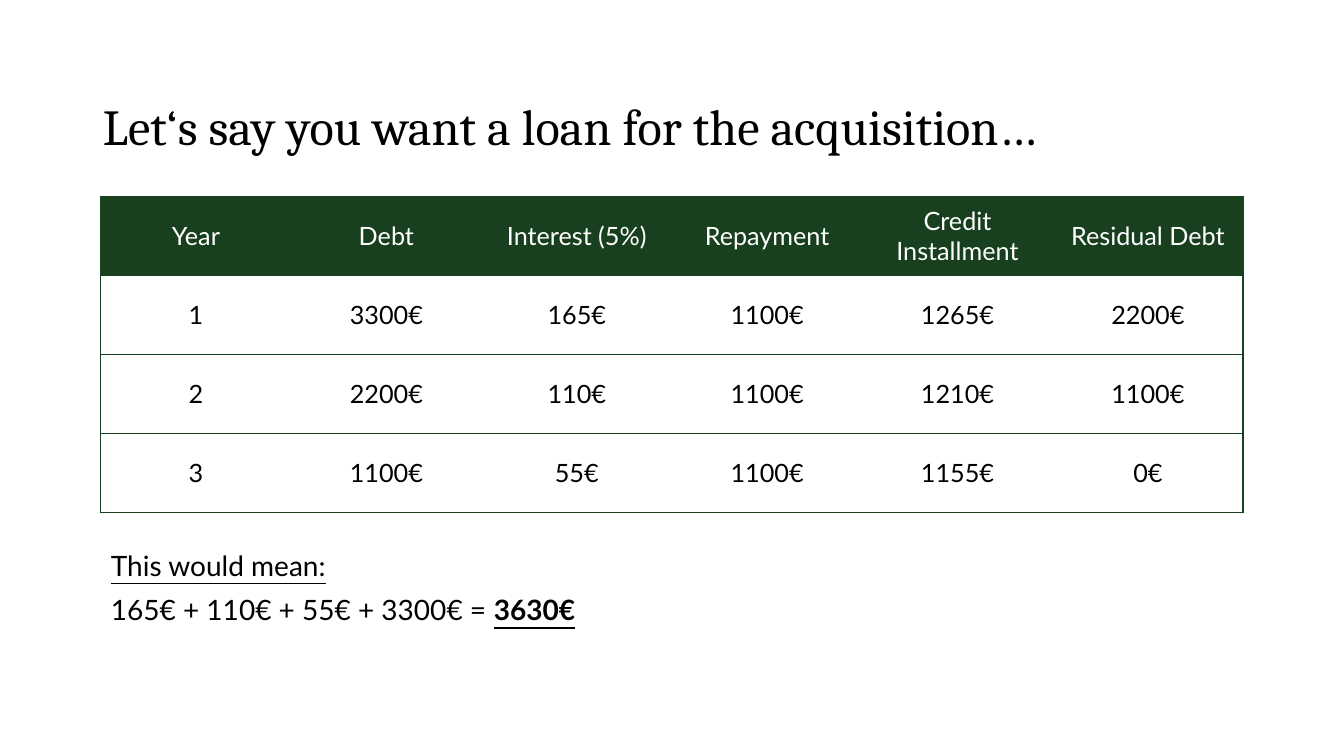
import pptx
import pptx.util
import pptx.dml.color
import pptx.enum.text
import pptx.oxml
import pptx.oxml.ns
import lxml.etree

WIDE, HIGH = pptx.util.Inches(13.33), pptx.util.Inches(7.5)
HUES = {"green": "183F1E", "white": "FFFFFF", "black": "000000"}
ROWS = [
    ["Year", "Debt", "Interest (5%)", "Repayment", "Credit Installment", "Residual Debt"],
    ["1", "3300€", "165€", "1100€", "1265€", "2200€"],
    ["2", "2200€", "110€", "1100€", "1210€", "1100€"],
    ["3", "1100€", "55€", "1100€", "1155€", "0€"],
]
NOTE = [
    [("This would mean:", False, True)],
    [("165€ + 110€ + 55€ + 3300€ = ", False, False), ("3630€", True, True)],
]


def share(left, top, width, height):
    """Turn percentages of the slide into a box."""
    return [round(part * size / 100)
            for part, size in zip((left, top, width, height), (WIDE, HIGH) * 2)]


def color(name):
    """Look up a colour by name."""
    return pptx.dml.color.RGBColor.from_string(HUES[name])


def style(font, face, size, hue):
    """Set face, size and colour of a font."""
    font.name, font.size = face, pptx.util.Pt(size)
    font.color.rgb = color(hue)


def place(shape, box):
    """Move a shape into a box."""
    shape.left, shape.top, shape.width, shape.height = box


def border(cell, sides):
    """Draw the given sides of a cell and clear the rest."""
    props = cell._tc.get_or_add_tcPr()
    for spot, side in enumerate("LRTB"):
        line = pptx.oxml.parse_xml(
            f'<a:ln{side} {pptx.oxml.ns.nsdecls("a")} w="12700"/>')
        if side in sides:
            fill = lxml.etree.SubElement(line, pptx.oxml.ns.qn("a:solidFill"))
            lxml.etree.SubElement(fill, pptx.oxml.ns.qn("a:srgbClr"), val=HUES["green"])
        else:
            lxml.etree.SubElement(line, pptx.oxml.ns.qn("a:noFill"))
        props.insert(spot, line)


def title(slide, box):
    """Fill the title placeholder."""
    head = slide.shapes.title
    place(head, box)
    frame = head.text_frame
    frame.text = "Let‘s say you want a loan for the acquisition…"
    frame.auto_size = pptx.enum.text.MSO_AUTO_SIZE.NONE
    frame.vertical_anchor = pptx.enum.text.MSO_ANCHOR.BOTTOM
    para = frame.paragraphs[0]
    para.alignment = pptx.enum.text.PP_ALIGN.LEFT
    para.line_spacing = 0.9
    style(para.runs[0].font, "Cambria", 36, "black")


def table(slide, box):
    """Draw the loan table with even columns and rows."""
    count = len(ROWS[0])
    grid = slide.shapes.add_table(len(ROWS), count, *box).table
    grid.horz_banding = False
    for down, row in enumerate(ROWS):
        for over, text in enumerate(row):
            cell = grid.cell(down, over)
            cell.text = text
            cell.vertical_anchor = pptx.enum.text.MSO_ANCHOR.MIDDLE
            cell.fill.solid()
            cell.fill.fore_color.rgb = color("white" if down else "green")
            border(cell, "TB" + "L" * (over == 0) + "R" * (over == count - 1))
            para = cell.text_frame.paragraphs[0]
            para.alignment = pptx.enum.text.PP_ALIGN.CENTER
            font = para.runs[0].font
            style(font, "Lato", 18, "black" if down else "white")
            font.bold = False


def note(slide, box):
    """Fill the body placeholder with the total cost."""
    body = slide.placeholders[1]
    place(body, box)
    frame = body.text_frame
    frame.auto_size = pptx.enum.text.MSO_AUTO_SIZE.NONE
    for spot, parts in enumerate(NOTE):
        para = frame.add_paragraph() if spot else frame.paragraphs[0]
        props = para._p.get_or_add_pPr()
        props.set("marL", "0")
        props.set("indent", "0")
        lxml.etree.SubElement(props, pptx.oxml.ns.qn("a:buNone"))
        para.line_spacing = 0.9
        para.space_before = pptx.util.Pt(10 if spot else 0)
        for text, bold, under in parts:
            run = para.add_run()
            run.text = text
            style(run.font, "Lato", 20, "black")
            run.font.bold, run.font.underline = bold, under


def main():
    """Build the loan slide."""
    deck = pptx.Presentation()
    deck.slide_width, deck.slide_height = WIDE, HIGH
    slide = deck.slides.add_slide(deck.slide_layouts[1])
    title(slide, share(6.9, 2, 86.25, 19.33))
    table(slide, share(7.5, 26, 85, 41.75))
    note(slide, share(7.5, 72.4, 85, 21.33))
    deck.save("out.pptx")


if __name__ == "__main__":
    main()
